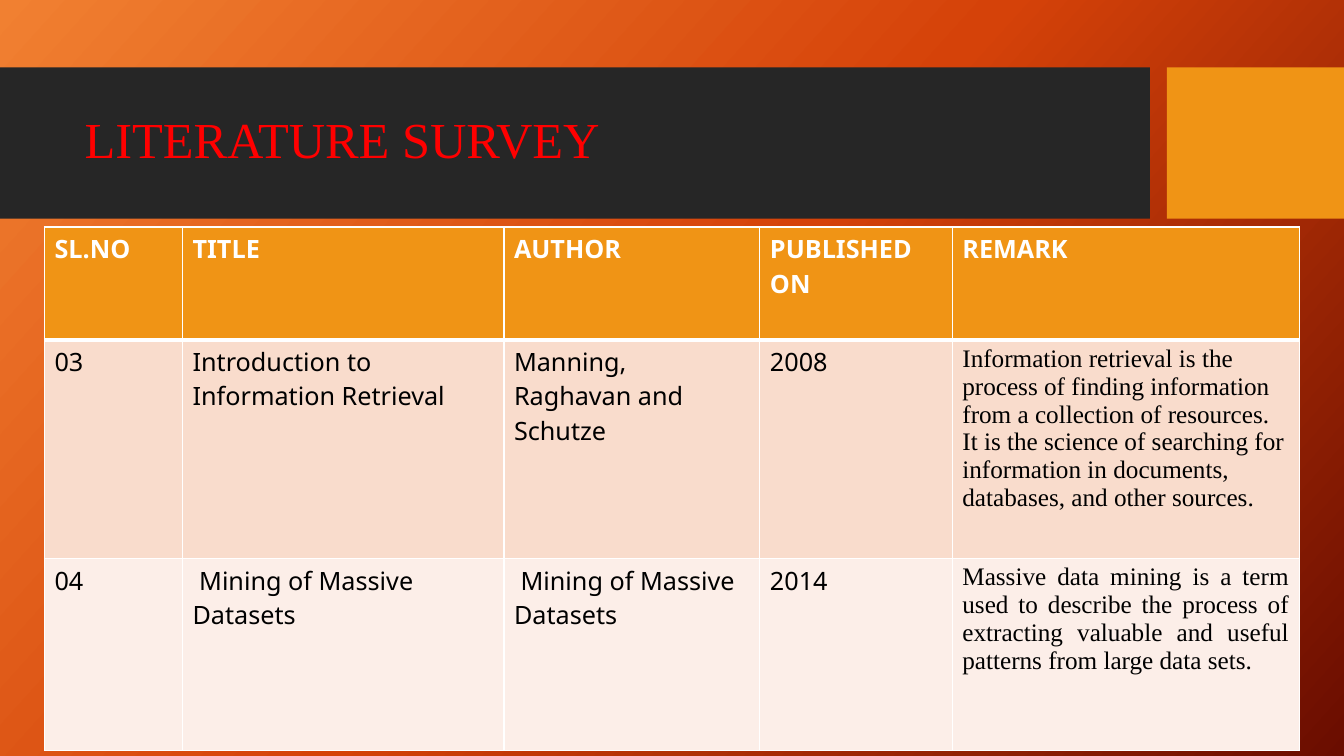
import copy
from typing import NamedTuple

import pptx
import pptx.dml.color
import pptx.enum.shapes
import pptx.enum.text
import pptx.oxml
import pptx.oxml.ns
import pptx.util
from lxml import etree
from pptx.dml.color import RGBColor
from pptx.util import Cm

AMBER = RGBColor(0xF0, 0x94, 0x15)
CHARCOAL = RGBColor(0x26, 0x26, 0x26)
RED = RGBColor(0xFF, 0x00, 0x00)
WHITE = RGBColor(0xFF, 0xFF, 0xFF)
BLACK = RGBColor(0x00, 0x00, 0x00)
PEACH = RGBColor(0xF9, 0xDC, 0xCC)
PALE_PEACH = RGBColor(0xFC, 0xEE, 0xE8)
BACKDROP = [
    (0, RGBColor(0xF1, 0x80, 0x31)),
    (0.5, RGBColor(0xD5, 0x42, 0x09)),
    (1, RGBColor(0x6A, 0x0D, 0x00)),
]
SANS = "Noto Sans"
SERIF = "Times New Roman"
LEFT = pptx.enum.text.PP_ALIGN.LEFT
JUSTIFY = pptx.enum.text.PP_ALIGN.JUSTIFY


class Band(NamedTuple):
    left: float
    width: float
    color: RGBColor


class SurveyRow(NamedTuple):
    texts: list[str]
    height: float
    fill: RGBColor
    color: RGBColor = BLACK
    bold: bool = False
    remark_font: str = SERIF
    remark_align: pptx.enum.text.PP_ALIGN = LEFT
    top_border: int = 1
    bottom_border: int = 1


BANDS = [Band(0, 28.98, CHARCOAL), Band(29.41, 4.46, AMBER)]
COLUMN_WIDTHS = [3.48, 8.1, 6.45, 4.85, 8.74]
SURVEY = [
    SurveyRow(["SL.NO", "TITLE", "AUTHOR", "PUBLISHED ON", "REMARK"],
              2.84, AMBER, WHITE, True, SANS, bottom_border=3),
    SurveyRow(["03", "Introduction to Information Retrieval",
               "Manning, Raghavan and Schutze", "2008",
               "Information retrieval is the process of finding information "
               "from a collection of resources. It is the science of searching "
               "for information in documents, databases, and other sources."],
              5.51, PEACH, top_border=3),
    SurveyRow(["04", " Mining of Massive Datasets",
               " Mining of Massive Datasets", "2014",
               "Massive data mining is a term used to describe the process of "
               "extracting valuable and useful patterns from large data sets."],
              4.85, PALE_PEACH, remark_align=JUSTIFY),
]


def paint_background(slide: pptx.slide.Slide) -> None:
    fill = slide.background.fill
    fill.gradient()
    fill.gradient_angle = 318
    first_stop = next(slide.element.iter(pptx.oxml.ns.qn("a:gs")))
    first_stop.addnext(copy.deepcopy(first_stop))
    for stop, (position, color) in zip(fill.gradient_stops, BACKDROP):
        stop.position = position
        stop.color.rgb = color


def add_run(paragraph, text: str, font: str, size: int,
            color: RGBColor, bold: bool = False) -> None:
    run = paragraph.add_run()
    run.text = text
    run.font.name = font
    run.font.size = pptx.util.Pt(size)
    run.font.color.rgb = color
    run.font.bold = bold


def add_heading(slide: pptx.slide.Slide) -> None:
    heading = slide.shapes.title
    heading.left, heading.top = Cm(1.88), Cm(2.08)
    heading.width, heading.height = Cm(26.7), Cm(3)
    frame = heading.text_frame
    frame.word_wrap = True
    frame.auto_size = pptx.enum.text.MSO_AUTO_SIZE.NONE
    frame.vertical_anchor = pptx.enum.text.MSO_ANCHOR.MIDDLE
    paragraph = frame.paragraphs[0]
    paragraph.alignment = LEFT
    paragraph.line_spacing = 0.9
    add_run(paragraph, "LITERATURE SURVEY", SERIF, 36, RED)


def add_band(slide: pptx.slide.Slide, band: Band) -> None:
    shape = slide.shapes.add_shape(
        pptx.enum.shapes.MSO_SHAPE.RECTANGLE,
        Cm(band.left), Cm(1.7), Cm(band.width), Cm(3.81))
    shape.shadow.inherit = False
    shape.fill.solid()
    shape.fill.fore_color.rgb = band.color
    shape.line.fill.background()
    # Bands lie behind the heading
    slide.shapes.title.element.addprevious(shape.element)


def add_borders(cell, top: int, bottom: int) -> None:
    properties = cell._tc.get_or_add_tcPr()
    for side, points in (("L", 1), ("R", 1), ("T", top), ("B", bottom)):
        line = etree.SubElement(properties, pptx.oxml.ns.qn(f"a:ln{side}"),
                                w=str(pptx.util.Pt(points)))
        solid = etree.SubElement(line, pptx.oxml.ns.qn("a:solidFill"))
        etree.SubElement(solid, pptx.oxml.ns.qn("a:srgbClr"), val=str(WHITE))


def fill_row(cells, row: SurveyRow) -> None:
    remark_column = len(row.texts) - 1
    for column, (cell, text) in enumerate(zip(cells, row.texts)):
        is_remark = column == remark_column
        add_borders(cell, row.top_border, row.bottom_border)
        cell.fill.solid()
        cell.fill.fore_color.rgb = row.fill
        paragraph = cell.text_frame.paragraphs[0]
        paragraph.alignment = row.remark_align if is_remark else LEFT
        add_run(paragraph, text, row.remark_font if is_remark else SANS,
                18, row.color, row.bold)


def add_survey(slide: pptx.slide.Slide) -> None:
    survey = slide.shapes.add_table(
        len(SURVEY), len(COLUMN_WIDTHS), Cm(1.12), Cm(5.72),
        Cm(sum(COLUMN_WIDTHS)), Cm(sum(row.height for row in SURVEY))).table
    for column, width in zip(survey.columns, COLUMN_WIDTHS):
        column.width = Cm(width)
    for table_row, row in zip(survey.rows, SURVEY):
        table_row.height = Cm(row.height)
        fill_row(table_row.cells, row)


def main() -> None:
    deck = pptx.Presentation()
    deck.slide_width, deck.slide_height = Cm(33.87), Cm(19.05)
    slide = deck.slides.add_slide(deck.slide_layouts[5])

    # Backdrop, heading and bands
    paint_background(slide)
    add_heading(slide)
    for band in BANDS:
        add_band(slide, band)

    # Literature table
    add_survey(slide)
    deck.save("out.pptx")


if __name__ == "__main__":
    main()
